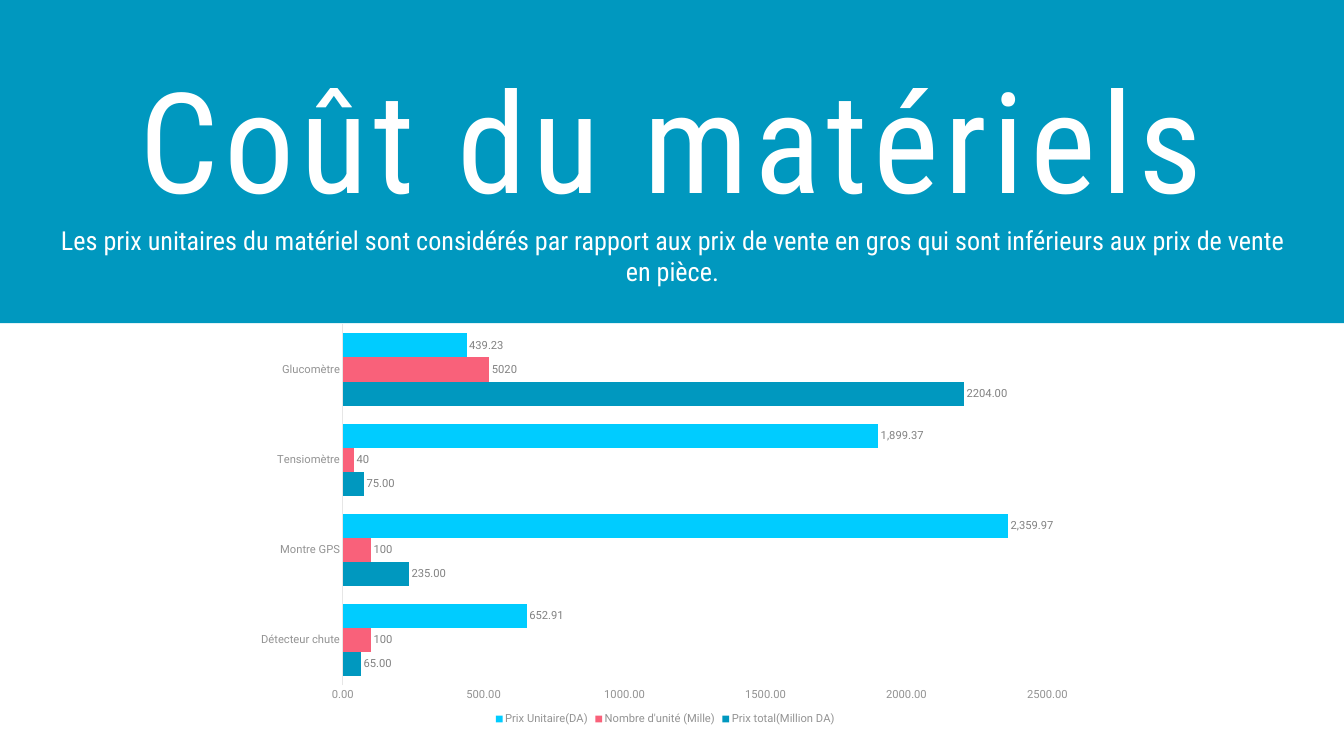
from dataclasses import dataclass

from lxml import etree
from pptx import Presentation
from pptx.chart.data import CategoryChartData
from pptx.dml.color import RGBColor
from pptx.enum import chart as ch, shapes, text
from pptx.oxml.ns import qn
from pptx.util import Pt


@dataclass(frozen=True)
class Theme:
    teal: str = "0098BF"
    pink: str = "F9617A"
    cyan: str = "00CCFF"
    white: str = "FFFFFF"
    axis_text: str = "939393"
    label_text: str = "828282"
    axis_line: str = "E6E6E6"
    heading_font: str = "Roboto Condensed"
    chart_font: str = "Roboto"
    title_size: float = 150
    subtitle_size: float = 28
    chart_size: float = 12


@dataclass(frozen=True)
class CostSeries:
    name: str
    values: tuple[float, ...]
    color: str
    number_format: str


THEME = Theme()
SLIDE_WIDTH, SLIDE_HEIGHT = 1440, 810
BAND_HEIGHT = 346.3
TEXT_LEFT, TEXT_WIDTH = 57.6, 1325.5

EQUIPMENT = ("Détecteur chute", "Montre GPS", "Tensiomètre", "Glucomètre")
COSTS = (
    CostSeries("Prix total(Million DA)", (65, 235, 75, 2204), THEME.teal, "0.00"),
    CostSeries("Nombre d'unité (Mille)", (100, 100, 40, 520), THEME.pink, "#,##0"),
    CostSeries("Prix Unitaire(DA)", (652.91, 2359.97, 1899.37, 439.23),
               THEME.cyan, "#,##0.00"),
)


def style_font(font, size: float, color: str, name: str) -> None:
    font.size = Pt(size)
    font.name = name
    font.bold = False
    font.color.rgb = RGBColor.from_string(color)


def add_text(slide, content: str, *, top: float, height: float, size: float,
             anchor, spacing: float = 0) -> None:
    box = slide.shapes.add_textbox(Pt(TEXT_LEFT), Pt(top), Pt(TEXT_WIDTH), Pt(height))
    frame = box.text_frame
    frame.word_wrap = True
    frame.vertical_anchor = anchor
    frame.margin_left = frame.margin_right = Pt(4)
    frame.margin_top = frame.margin_bottom = 0
    paragraph = frame.paragraphs[0]
    paragraph.alignment = text.PP_ALIGN.CENTER
    run = paragraph.add_run()
    run.text = content
    style_font(run.font, size, THEME.white, THEME.heading_font)
    if spacing:
        run.font._element.set("spc", str(int(spacing * 100)))


def add_band(slide) -> None:
    band = slide.shapes.add_shape(shapes.MSO_SHAPE.RECTANGLE, 0, 0,
                                  Pt(SLIDE_WIDTH), Pt(BAND_HEIGHT))
    band.shadow.inherit = False
    band.fill.solid()
    band.fill.fore_color.rgb = RGBColor.from_string(THEME.teal)
    band.line.fill.background()


def style_series(series, cost: CostSeries) -> None:
    series.invert_if_negative = False
    series.format.fill.solid()
    series.format.fill.fore_color.rgb = RGBColor.from_string(cost.color)
    labels = series.data_labels
    labels.show_value = True
    labels.number_format = cost.number_format
    labels.number_format_is_linked = False
    labels.position = ch.XL_LABEL_POSITION.OUTSIDE_END
    style_font(labels.font, THEME.chart_size, THEME.label_text, THEME.chart_font)


def relabel_point(series, index: int, content: str) -> None:
    label = series.points[index].data_label
    run = label.text_frame.paragraphs[0].add_run()
    run.text = content
    style_font(run.font, THEME.chart_size, THEME.label_text, THEME.chart_font)
    label.position = ch.XL_LABEL_POSITION.OUTSIDE_END


def place_plot(chart, **fractions: float) -> None:
    """Fix the inner plot area as fractions of the chart."""
    plot_area = chart._chartSpace.chart.plotArea
    for old in plot_area.findall(qn("c:layout")):
        plot_area.remove(old)
    layout = etree.Element(qn("c:layout"))
    manual = etree.SubElement(layout, qn("c:manualLayout"))
    settings = {"layoutTarget": "inner", "xMode": "edge", "yMode": "edge", **fractions}
    for tag, value in settings.items():
        etree.SubElement(manual, qn(f"c:{tag}")).set("val", str(value))
    plot_area.insert(0, layout)


def add_cost_chart(slide) -> None:
    data = CategoryChartData()
    data.categories = EQUIPMENT
    for cost in COSTS:
        data.add_series(cost.name, cost.values, cost.number_format)
    chart = slide.shapes.add_chart(ch.XL_CHART_TYPE.BAR_CLUSTERED, Pt(262.8), Pt(330.5),
                                   Pt(900), Pt(450), data).chart
    chart.has_title = False
    style_font(chart.font, THEME.chart_size, THEME.axis_text, THEME.chart_font)

    # Bars and labels
    plot = chart.plots[0]
    plot.gap_width = 75
    plot.overlap = 0
    plot.vary_by_categories = False
    for series, cost in zip(plot.series, COSTS):
        style_series(series, cost)
    relabel_point(plot.series[1], EQUIPMENT.index("Glucomètre"), "5020")

    # Axes
    for axis in (chart.category_axis, chart.value_axis):
        axis.has_major_gridlines = False
        axis.major_tick_mark = axis.minor_tick_mark = ch.XL_TICK_MARK.NONE
        style_font(axis.tick_labels.font, THEME.chart_size, THEME.axis_text,
                   THEME.chart_font)
    category_line = chart.category_axis.format.line
    category_line.color.rgb = RGBColor.from_string(THEME.axis_line)
    category_line.width = Pt(0.75)
    prices = chart.value_axis
    prices.format.line.fill.background()
    prices.minimum_scale, prices.maximum_scale, prices.major_unit = 0, 2500, 500
    prices.tick_labels.number_format = "0.00"
    prices.tick_labels.number_format_is_linked = False

    # Legend
    chart.has_legend = True
    chart.legend.position = ch.XL_LEGEND_POSITION.BOTTOM
    chart.legend.include_in_layout = False
    style_font(chart.legend.font, THEME.chart_size, THEME.axis_text, THEME.chart_font)
    place_plot(chart, x=0.116, y=0.038, w=0.839, h=0.859)


def main() -> None:
    deck = Presentation()
    deck.slide_width, deck.slide_height = Pt(SLIDE_WIDTH), Pt(SLIDE_HEIGHT)
    slide = deck.slides.add_slide(deck.slide_layouts[6])

    # Heading band
    add_band(slide)
    add_text(slide, "Coût du matériels", top=43.2, height=193.7,
             size=THEME.title_size, anchor=text.MSO_ANCHOR.BOTTOM, spacing=6)
    add_text(slide, "Les prix unitaires du matériel sont considérés par rapport aux prix "
             "de vente en gros qui sont inférieurs aux prix de vente en pièce.",
             top=234.7, height=77.8, size=THEME.subtitle_size,
             anchor=text.MSO_ANCHOR.MIDDLE)

    # Equipment costs
    add_cost_chart(slide)
    deck.save("out.pptx")


if __name__ == "__main__":
    main()
